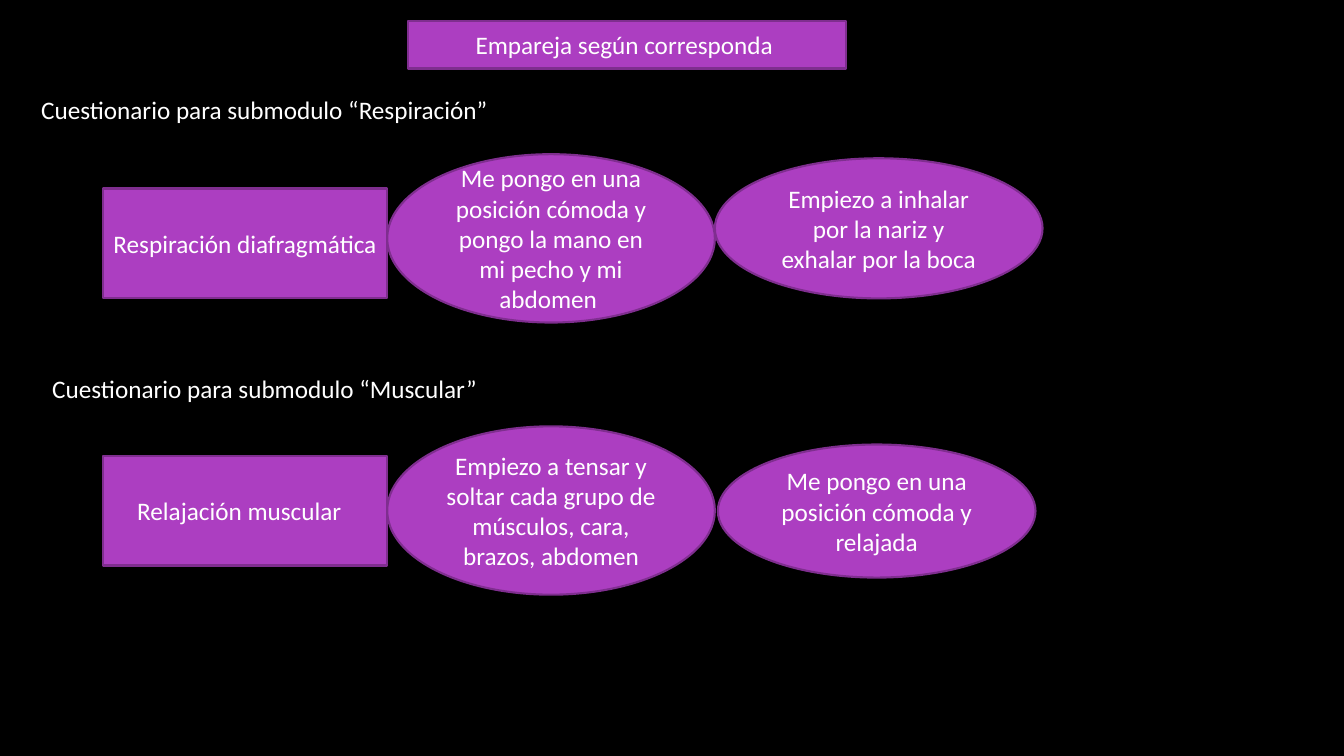
from dataclasses import dataclass

from pptx import Presentation
from pptx.dml.color import RGBColor
from pptx.enum.shapes import MSO_SHAPE
from pptx.enum.text import MSO_ANCHOR, MSO_AUTO_SIZE, PP_ALIGN
from pptx.util import Inches, Pt

RECT, OVAL = MSO_SHAPE.RECTANGLE, MSO_SHAPE.OVAL
MIDDLE, TOP = MSO_ANCHOR.MIDDLE, MSO_ANCHOR.TOP
CENTER, LEFT = PP_ALIGN.CENTER, PP_ALIGN.LEFT
NO_FIT = MSO_AUTO_SIZE.NONE


@dataclass(frozen=True)
class Theme:
    back = RGBColor.from_string("000000")
    fill = RGBColor.from_string("AC3EC1")
    edge = RGBColor.from_string("7F2E8F")
    ink = RGBColor.from_string("FFFFFF")
    font = "Calibri"
    size = Pt(18)
    line = Pt(1.5)


theme = Theme()


def write(shape, text, align, anchor):
    frame = shape.text_frame
    frame.text = text
    frame.word_wrap = True
    frame.auto_size = NO_FIT
    frame.vertical_anchor = anchor
    para = frame.paragraphs[0]
    para.alignment = align
    font = para.runs[0].font
    font.name, font.size = theme.font, theme.size
    font.color.rgb = theme.ink


def paint(shape, text):
    """Give a shape the purple card look and centred text."""
    shape.shadow.inherit = False
    shape.fill.solid()
    shape.fill.fore_color.rgb = theme.fill
    shape.line.color.rgb = theme.edge
    shape.line.width = theme.line
    write(shape, text, CENTER, MIDDLE)


deck = Presentation()
deck.slide_width, deck.slide_height = Inches(13.33), Inches(7.5)
slide = deck.slides.add_slide(deck.slide_layouts[5])
slide.background.fill.solid()
slide.background.fill.fore_color.rgb = theme.back

title = slide.shapes.title
title.left, title.top = Inches(4.05), Inches(0.21)
title.width, title.height = Inches(4.34), Inches(0.47)
paint(title, "Empareja según corresponda ")

# Columns: term, first step, second step
TERM_X, STEP_X, LAST_X = 1.02, 3.84, 7.09
TERM_W, STEP_W = STEP_X - TERM_X, LAST_X - STEP_X
TERM_H, STEP_H = 1.09, 1.67

# Each row: heading with its place, then cards as (kind, box, text)
rows = [
    ("Cuestionario para submodulo “Respiración”", 0.31, 0.89, [
        (RECT, (TERM_X, 1.87, TERM_W, TERM_H),
         "Respiración diafragmática "),
        (OVAL, (STEP_X, 1.53, STEP_W, STEP_H),
         "Me pongo en una posición cómoda y pongo la mano en mi pecho y mi abdomen "),
        (OVAL, (LAST_X, 1.57, STEP_W, 1.39),
         "Empiezo a inhalar por la nariz y exhalar por la boca"),
    ]),
    ("Cuestionario para submodulo “Muscular”", 0.42, 3.65, [
        (RECT, (TERM_X, 4.52, TERM_W, TERM_H),
         "Relajación muscular  "),
        (OVAL, (STEP_X, 4.23, STEP_W, STEP_H),
         "Empiezo a tensar y soltar cada grupo de músculos, cara, brazos, abdomen"),
        (OVAL, (LAST_X + 0.03, 4.41, 3.15, 1.32),
         "Me pongo en una posición cómoda y relajada"),
    ]),
]

for head, left, top, cards in rows:
    label = slide.shapes.add_textbox(
        Inches(left), Inches(top), Inches(4.74), Inches(0.4))
    write(label, head, LEFT, TOP)
    for kind, box, text in cards:
        card = slide.shapes.add_shape(kind, *map(Inches, box))
        paint(card, text)

deck.save("out.pptx")
